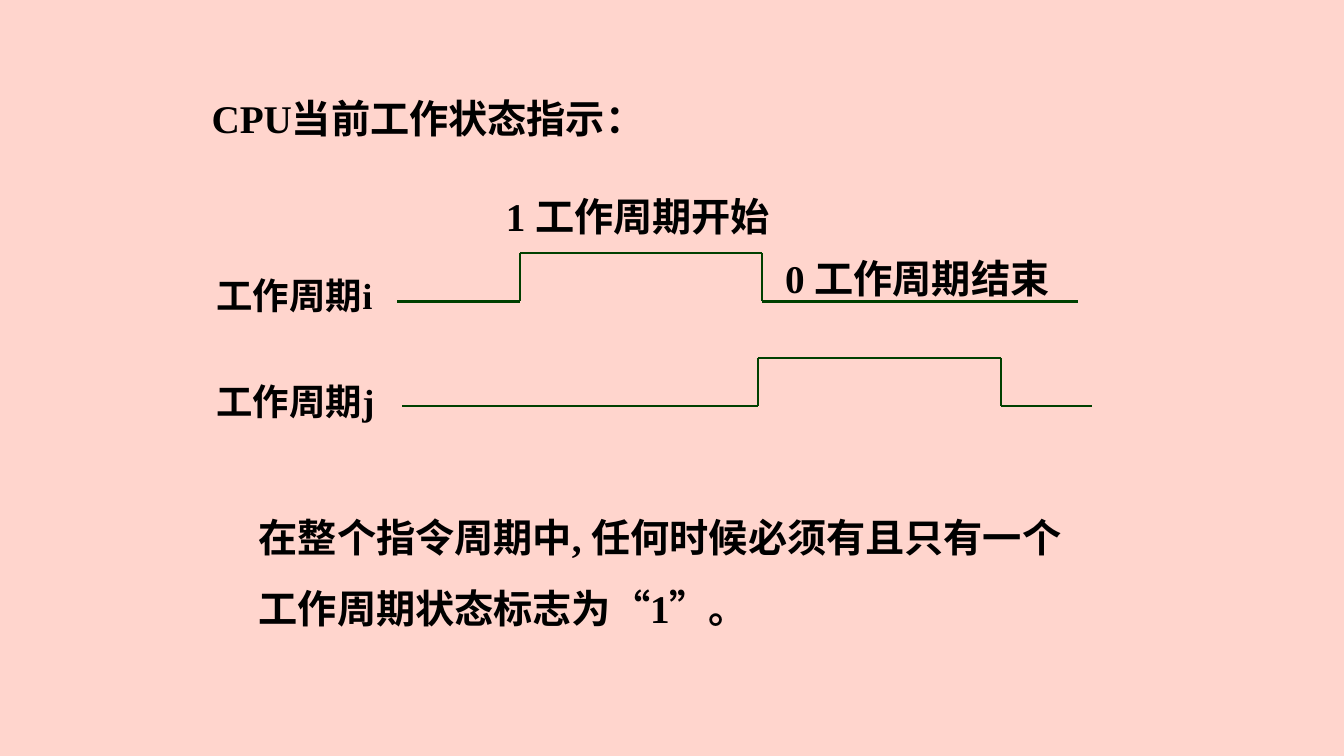
"""Build the slide on CPU work-cycle status signals."""
from itertools import pairwise

from lxml.etree import SubElement
from pptx import Presentation
from pptx.dml.color import RGBColor
from pptx.enum.shapes import MSO_CONNECTOR
from pptx.enum.text import MSO_AUTO_SIZE
from pptx.oxml.ns import qn
from pptx.util import Pt

COLORS = {"background": "FFD5CD", "text": "000000", "signal": "004000"}


def add_text(shapes, text, x, y, w, h, size=28, wrap=True, spacing=None):
    """Add a bold text box."""
    tf = shapes.add_textbox(Pt(x), Pt(y), Pt(w), Pt(h)).text_frame
    tf.word_wrap = wrap
    tf.auto_size = MSO_AUTO_SIZE.SHAPE_TO_FIT_TEXT
    p = tf.paragraphs[0]
    p.text = text
    p.line_spacing = spacing
    font = p.runs[0].font
    font.name = "Times New Roman"
    font.size = Pt(size)
    font.bold = True
    font.color.rgb = RGBColor.from_string(COLORS["text"])


prs = Presentation()
prs.slide_width, prs.slide_height = Pt(960), Pt(540)
s = prs.slides.add_slide(prs.slide_layouts[6])
s.background.fill.solid()
s.background.fill.fore_color.rgb = RGBColor.from_string(COLORS["background"])

add_text(s.shapes, "CPU当前工作状态指示：", 144, 64, 328, 41, wrap=False)
add_text(s.shapes, "1 工作周期开始", 354.2, 134, 220, 42)
add_text(s.shapes, "0 工作周期结束", 553.7, 178, 220, 42)
add_text(s.shapes, "在整个指令周期中, 任何时候必须有且只有一个工作周期状态标志为“1”。",
         177.8, 346.3, 604, 103, spacing=1.5)

signals = [
    ("工作周期i", 191.5, 180.7, (283.7, 371.5, 544.5, 769.7)),
    ("工作周期j", 267.1, 255.6, (287.3, 541.4, 715, 779.8)),
]
for label, label_y, high, (start, rise, fall, end) in signals:
    low = high + 34.6
    group = s.shapes.add_group_shape()
    add_text(group.shapes, label, 147.6, label_y, 152.6, 38, size=26)
    corners = [(start, low), (rise, low), (rise, high),
               (fall, high), (fall, low), (end, low)]
    for (x1, y1), (x2, y2) in pairwise(corners):
        line = group.shapes.add_connector(
            MSO_CONNECTOR.STRAIGHT, Pt(x1), Pt(y1), Pt(x2), Pt(y2))
        line.line.width = Pt(1.75)
        line.line.color.rgb = RGBColor.from_string(COLORS["signal"])
        SubElement(line._element.spPr, qn("a:effectLst"))

prs.save("out.pptx")
